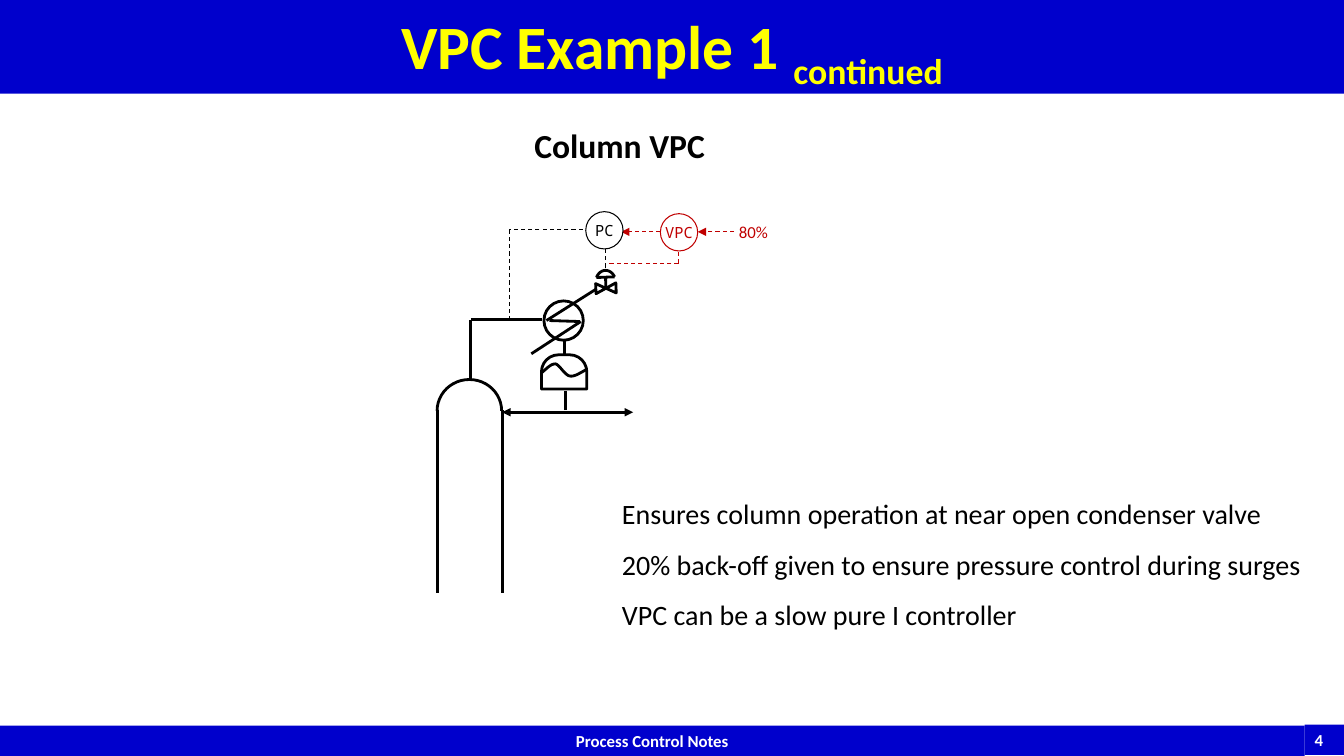
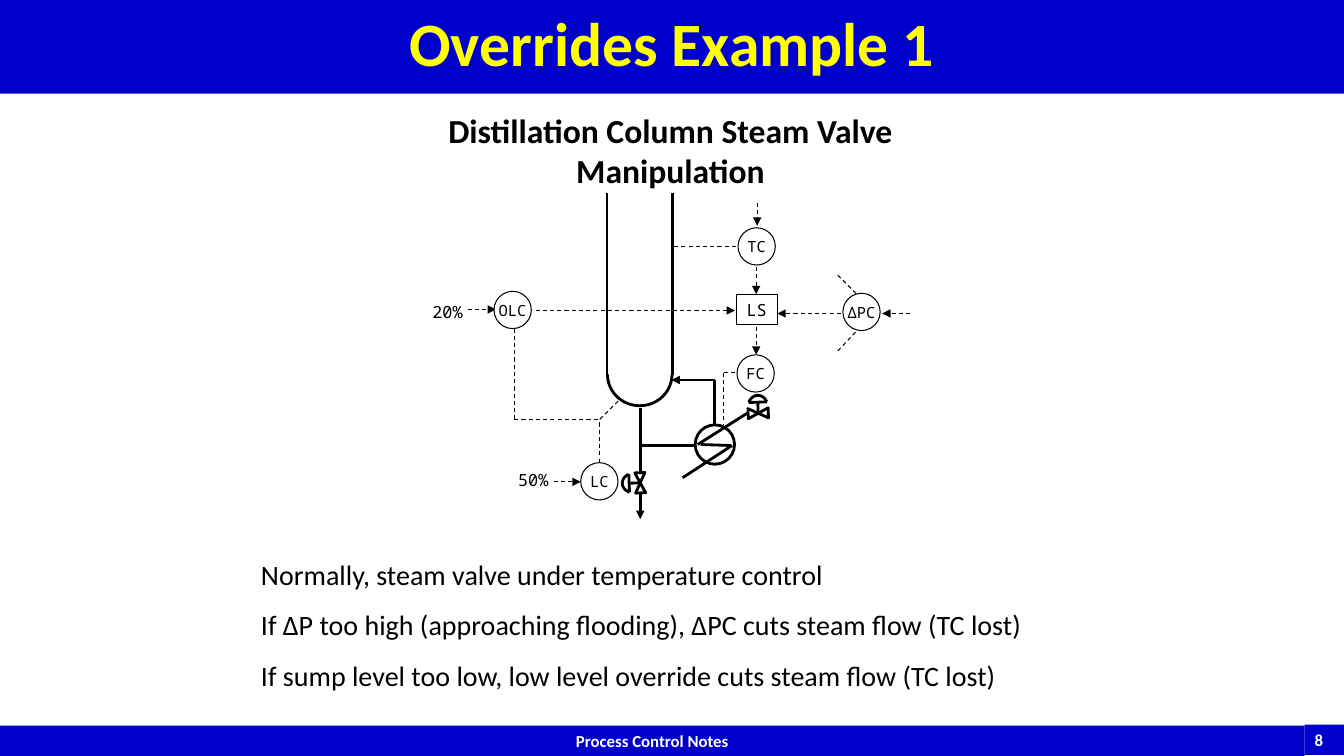
import math
import lxml.etree
import pptx
import pptx.dml.color
import pptx.enum.dml
import pptx.enum.shapes
import pptx.enum.text
import pptx.oxml.ns
import pptx.util

Inches = pptx.util.Inches
Pt = pptx.util.Pt
SHAPE = pptx.enum.shapes.MSO_SHAPE
ALIGN = pptx.enum.text.PP_ALIGN
ANCHOR = pptx.enum.text.MSO_ANCHOR
qn = pptx.oxml.ns.qn

BLUE, YELLOW, WHITE, BLACK, RED = "0000CC", "FFFF00", "FFFFFF", "000000", "C00000"
SANS, MONO = "Calibri", "Noto Sans Mono"
PIPE, SIGNAL = 2, 0.75
BUBBLE, EXCHANGER, BODY = 0.37, 0.39, 0.1
VALVE_TILT = -2.2


def rgb(value):
    return pptx.dml.color.RGBColor.from_string(value)


def text(sp, *lines, size=12, font=SANS, color=BLACK, bold=False, align=ALIGN.LEFT,
         anchor=ANCHOR.TOP, after=0, spacing=1.0, inset=None, wrap=True, sub=""):
    tf = sp.text_frame
    tf.word_wrap = wrap
    tf.vertical_anchor = anchor
    if inset is not None:
        tf.margin_left = tf.margin_right = tf.margin_top = tf.margin_bottom = Inches(inset)
    for i, line in enumerate(lines):
        p = tf.paragraphs[0] if i == 0 else tf.add_paragraph()
        p.alignment = align
        p.space_after = Pt(after)
        p.line_spacing = spacing
        for part in filter(None, (line, sub)):
            r = p.add_run()
            r.text = part
            r.font.size = Pt(size)
            r.font.name = font
            r.font.bold = bold
            r.font.color.rgb = rgb(color)
            if part == sub:
                r.font._element.set("baseline", "-25000")


slides = [
    {
        "title": "VPC Example 1 ", "sub": "continued", "number": "4",
        "heading": ("Column VPC", 5.15, 1.19, 1.99),
        "notes": (6.07, 4.88, 7.01, [
            "Ensures column operation at near open condenser valve",
            "20% back-off given to ensure pressure control during surges",
            "VPC can be a slow pure I controller"]),
        "pipes": [
            ("", [(4.67, 3.75), (4.67, 3.17), (5.38, 3.17)]),
            ("both", [(6.28, 4.09), (4.98, 4.09)]),
            ("", [(4.34, 4.07), (4.34, 5.88)]),
            ("", [(4.98, 4.07), (4.98, 5.88)]),
            ("", [(5.61, 4.07), (5.61, 3.88)]),
            ("", [(5.6, 3.52), (5.6, 3.37)]),
        ],
        "signals": [
            (BLACK, "", [(5.78, 2.28), (5.05, 2.28), (5.05, 3.19)]),
            (BLACK, "", [(6.01, 2.47), (6.01, 2.66)]),
            (RED, "end", [(6.55, 2.3), (6.16, 2.3)]),
            (RED, "end", [(7.28, 2.3), (6.92, 2.3)]),
            (RED, "", [(6.73, 2.5), (6.73, 2.61), (6.02, 2.61)]),
        ],
        "column_end": (4.5, 3.6, 90),
        "exchanger": (5.59, 3.18),
        "valves": [(6.01, 2.86, 0)],
        "drums": [(5.37, 3.52)],
        "bubbles": [("PC", 5.81, 2.1, BLACK), ("VPC", 6.55, 2.12, RED)],
        "selectors": [],
        "setpoints": [("80%", 7.23, 2.15, SANS, RED)],
    },
    {
        "title": "Overrides Example 1", "sub": "", "number": "8",
        "heading": ("Distillation Column Steam Valve Manipulation", 3.38, 1.04, 6.54),
        "notes": (2.49, 5.48, 7.81, [
            "Normally, steam valve under temperature control",
            "If ΔP too high (approaching flooding), ΔPC cuts steam flow (TC lost)",
            "If sump level too low, low level override cuts steam flow (TC lost)"]),
        "pipes": [
            ("", [(6.02, 3.72), (6.02, 1.91)]),
            ("", [(6.67, 3.72), (6.67, 1.91)]),
            ("end", [(6.35, 4.05), (6.35, 5.15)]),
            ("", [(6.34, 4.42), (6.89, 4.42)]),
            ("end", [(7.09, 4.21), (7.09, 3.77), (6.66, 3.77)]),
        ],
        "signals": [
            (BLACK, "end", [(7.51, 2.01), (7.51, 2.24)]),
            (BLACK, "end", [(7.5, 2.65), (7.5, 2.92)]),
            (BLACK, "end", [(7.5, 3.24), (7.5, 3.52)]),
            (BLACK, "", [(7.3, 2.45), (6.67, 2.45)]),
            (BLACK, "", [(7.29, 3.7), (7.18, 3.7), (7.18, 4.21)]),
            (BLACK, "", [(8.31, 3.48), (8.5, 3.28)]),
            (BLACK, "", [(8.31, 2.73), (8.5, 2.92)]),
            (BLACK, "end", [(8.34, 3.11), (7.71, 3.11)]),
            (BLACK, "end", [(9.03, 3.11), (8.75, 3.11)]),
            (BLACK, "end", [(5.24, 3.08), (7.29, 3.08)]),
            (BLACK, "end", [(4.64, 3.07), (4.92, 3.07)]),
            (BLACK, "", [(5.1, 3.26), (5.1, 4.16), (5.95, 4.16)]),
            (BLACK, "", [(5.95, 4.59), (5.95, 4.16), (6.15, 3.96)]),
            (BLACK, "end", [(5.49, 4.78), (5.76, 4.78)]),
        ],
        "column_end": (6.19, 3.55, 270),
        "exchanger": (7.09, 4.41),
        "valves": [(7.52, 4.1, 0), (6.35, 4.79, -90)],
        "drums": [],
        "bubbles": [("TC", 7.32, 2.26, BLACK), ("FC", 7.31, 3.52, BLACK),
                    ("ΔPC", 8.36, 2.91, BLACK), ("OLC", 4.9, 2.89, BLACK),
                    ("LC", 5.76, 4.59, BLACK)],
        "selectors": [("LS", 7.3, 2.92)],
        "setpoints": [("20%", 4.19, 2.94, MONO, BLACK), ("50%", 5.04, 4.61, MONO, BLACK)],
    },
]

exchanger_strokes = [[(0.32, -0.31), (-0.17, 0)], [(-0.14, 0), (0.16, 0.01)],
                     [(0.17, 0.01), (-0.32, 0.33)]]
valve_strokes = [[(0, 0), (0, -0.11)], [(-0.09, -0.11), (0.09, -0.11)]]
valve_cap = [(-0.09, -0.11), (-0.05, -0.2), (0.05, -0.2), (0.09, -0.11)]
drum_wave = [(0, 0.18), (0.05, 0.14), (0.09, 0.09), (0.14, 0.09), (0.18, 0.1),
             (0.23, 0.2), (0.28, 0.21), (0.33, 0.22), (0.38, 0.18), (0.44, 0.15)]

prs = pptx.Presentation()
prs.slide_width, prs.slide_height = Inches(13.33), Inches(7.5)

for page in slides:
    s = prs.slides.add_slide(prs.slide_layouts[6])

    bands = [
        ((0, 7.2, 12.94, 0.3), page["number"] and "Process Control Notes",
         dict(bold=True, color=WHITE, align=ALIGN.CENTER)),
        ((12.94, 7.19, 0.4, 0.3), page["number"], dict(bold=True, color=WHITE)),
        ((0, 0, 13.33, 0.93), page["title"],
         dict(size=44, bold=True, color=YELLOW, align=ALIGN.CENTER, anchor=ANCHOR.MIDDLE,
              spacing=0.9, sub=page["sub"])),
    ]
    for box, words, style in bands:
        sp = s.shapes.add_shape(SHAPE.RECTANGLE, *map(Inches, box))
        sp.shadow.inherit = False
        sp.fill.solid()
        sp.fill.fore_color.rgb = rgb(BLUE)
        sp.line.fill.background()
        text(sp, words, **style)

    words, x, y, w = page["heading"]
    text(s.shapes.add_textbox(Inches(x), Inches(y), Inches(w), Inches(0.5)), words,
         size=24, bold=True, align=ALIGN.CENTER, wrap=False)
    x, y, w, lines = page["notes"]
    text(s.shapes.add_textbox(Inches(x), Inches(y), Inches(w), Inches(1.45)), *lines,
         size=20, after=12)

    runs = [(BLACK, PIPE, arrow, points) for arrow, points in page["pipes"]]
    runs += [(color, SIGNAL, arrow, points) for color, arrow, points in page["signals"]]
    curves, symbols = [], []

    x, y, turn = page["column_end"]
    symbols.append((SHAPE.LEFT_BRACKET, (x, y, 0.31, 0.64), turn, [1.6], None, PIPE, BLACK, ""))

    cx, cy = page["exchanger"]
    symbols.append((SHAPE.OVAL, (cx - EXCHANGER / 2, cy - EXCHANGER / 2, EXCHANGER, EXCHANGER),
                    0, [], None, PIPE, BLACK, ""))
    runs += [(BLACK, PIPE, "", [(cx + dx, cy + dy) for dx, dy in stroke])
             for stroke in exchanger_strokes]

    for cx, cy, turn in page["valves"]:
        angle = turn + VALVE_TILT
        cos, sin = math.cos(math.radians(angle)), math.sin(math.radians(angle))
        *strokes, cap, centres = [
            [(cx + dx * cos - dy * sin, cy + dx * sin + dy * cos) for dx, dy in part]
            for part in (*valve_strokes, valve_cap, [(-BODY / 2, 0), (BODY / 2, 0)])]
        runs += [(BLACK, PIPE, "", stroke) for stroke in strokes]
        curves.append(cap)
        for (x, y), facing in zip(centres, (270, 90)):
            symbols.append((SHAPE.FLOWCHART_MERGE, (x - BODY / 2, y - BODY / 2, BODY, BODY),
                            facing + angle, [], WHITE, PIPE, BLACK, ""))

    for x, y in page["drums"]:
        symbols.append((SHAPE.ROUND_2_SAME_RECTANGLE, (x, y, 0.45, 0.34), 0, [0.5, 0],
                        None, PIPE, BLACK, ""))
        curves.append([(x + dx, y + dy) for dx, dy in drum_wave])

    for tag, x, y, color in page["bubbles"]:
        symbols.append((SHAPE.OVAL, (x, y, BUBBLE, BUBBLE), 0, [], WHITE, SIGNAL, color, tag))
    for tag, x, y in page["selectors"]:
        symbols.append((SHAPE.RECTANGLE, (x, y, 0.41, 0.3), 0, [], None, SIGNAL, BLACK, tag))

    for color, width, arrow, points in runs:
        for start, end in zip(points, points[1:]):
            c = s.shapes.add_connector(pptx.enum.shapes.MSO_CONNECTOR.STRAIGHT,
                                       *map(Inches, start + end))
            c.line.color.rgb = rgb(color)
            c.line.width = Pt(width)
            if width == SIGNAL:
                c.line.dash_style = pptx.enum.dml.MSO_LINE.DASH
            ln = c.line._get_or_add_ln()
            if arrow == "both":
                lxml.etree.SubElement(ln, qn("a:headEnd"), type="triangle")
            if arrow and end == points[-1]:
                lxml.etree.SubElement(ln, qn("a:tailEnd"), type="triangle")
            lxml.etree.SubElement(c._element.spPr, qn("a:effectLst"))

    for preset, box, turn, adjust, fill, width, color, tag in symbols:
        sp = s.shapes.add_shape(preset, *map(Inches, box))
        sp.shadow.inherit = False
        sp.rotation = turn
        for i, value in enumerate(adjust):
            sp.adjustments[i] = value
        if fill:
            sp.fill.solid()
            sp.fill.fore_color.rgb = rgb(fill)
        else:
            sp.fill.background()
        sp.line.color.rgb = rgb(color)
        sp.line.width = Pt(width)
        if tag:
            text(sp, tag, size=11 if preset == SHAPE.OVAL else 12, font=MONO, color=color,
                 align=ALIGN.CENTER, anchor=ANCHOR.MIDDLE, inset=0, wrap=False)

    for curve in curves:
        points = [curve[0]]
        for i in range(0, len(curve) - 1, 3):
            for step in range(1, 13):
                t = step / 12
                weights = [math.comb(3, k) * t ** k * (1 - t) ** (3 - k) for k in range(4)]
                points.append([sum(weight * knot[axis] for weight, knot in
                                   zip(weights, curve[i:i + 4])) for axis in (0, 1)])
        points = [(Inches(x), Inches(y)) for x, y in points]
        outline = s.shapes.build_freeform(*points[0])
        outline.add_line_segments(points[1:], close=False)
        sp = outline.convert_to_shape()
        sp.shadow.inherit = False
        sp.fill.background()
        sp.line.color.rgb = rgb(BLACK)
        sp.line.width = Pt(PIPE)

    for value, x, y, font, color in page["setpoints"]:
        text(s.shapes.add_textbox(Inches(x), Inches(y), Inches(0.52), Inches(0.3)), value,
             font=font, color=color)

prs.save("out.pptx")
